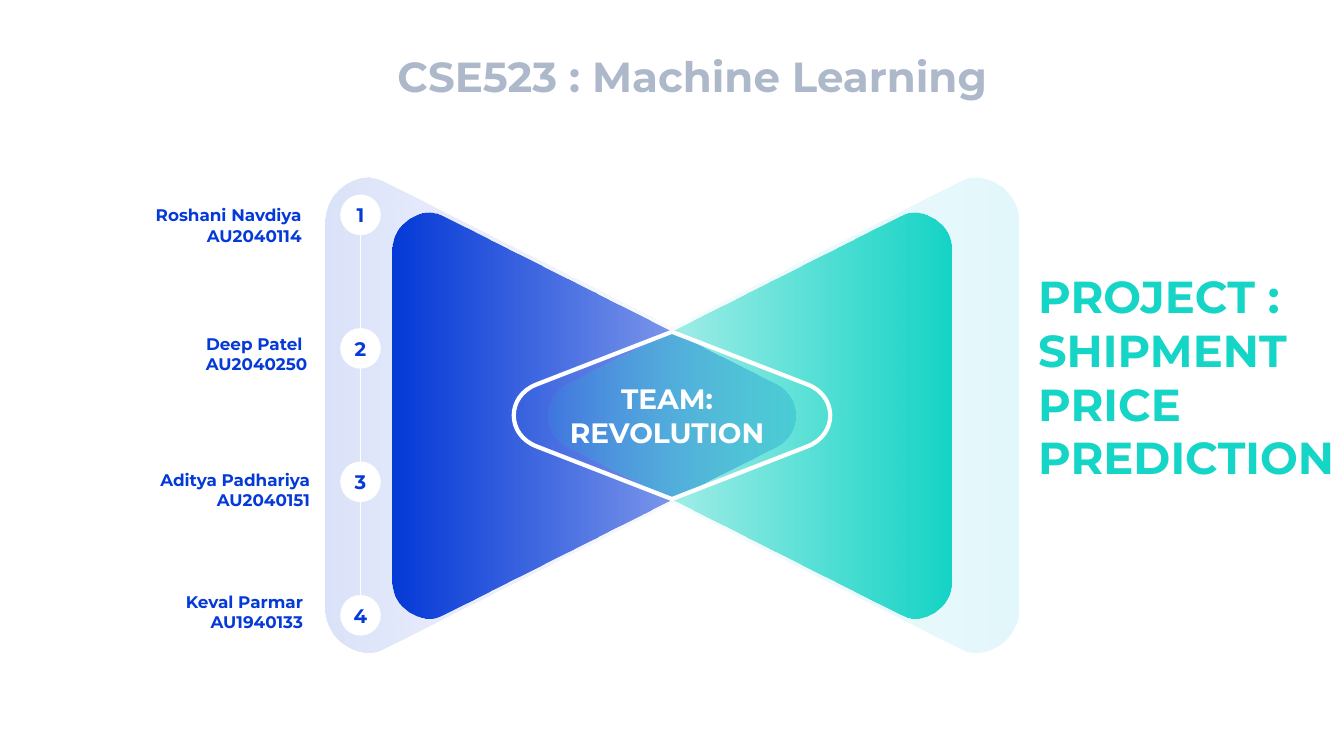
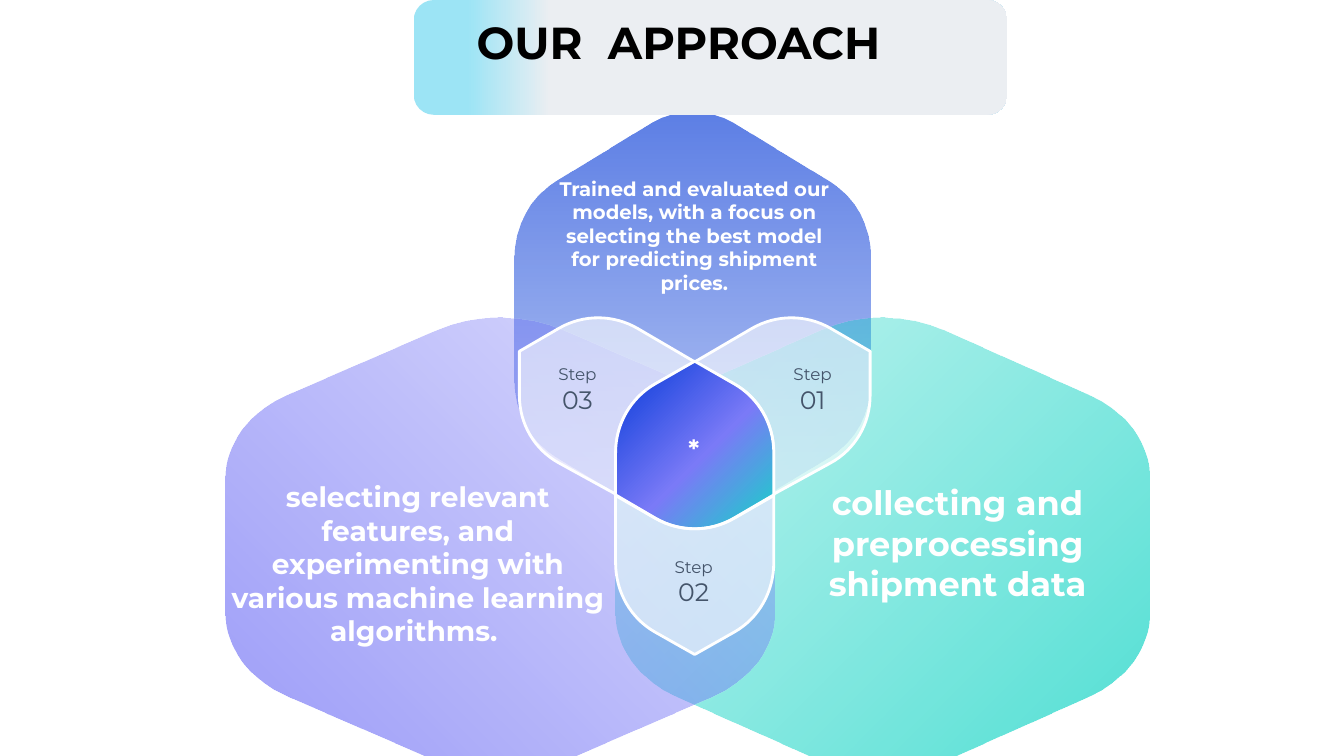
import lxml.etree
import pptx
import pptx.dml.color
import pptx.enum.shapes
import pptx.enum.text
import pptx.oxml.ns
import pptx.util

Pt = pptx.util.Pt
qn = pptx.oxml.ns.qn
PRESET = pptx.enum.shapes.MSO_SHAPE
ALIGN = pptx.enum.text.PP_ALIGN
ANCHOR = pptx.enum.text.MSO_ANCHOR

FONT = "Montserrat"
COLORS = {
    "blue": "053AD8", "violet": "7A7AF7", "teal": "15D5C6", "cyan": "39C9EA",
    "white": "FFFFFF", "black": "000000", "gray": "ADB9CA", "slate": "44546A",
    "sky": "9CE4F5", "mist": "EBEEF2",
}

FUNNEL = [(0, -0.06, 0.13, 0.11), (1.11, 0.5, 0.14, 0.14), (0, 1.06, 0.11, 0.13)]
DIAMOND = [(0.5, 0, 0, 0), (1.18, 0.5, 0.37, 0.37), (0.5, 1, 0, 0), (-0.18, 0.5, 0.37, 0.37)]
HEXAGON = [(x, y, 0.23, 0.23) for x, y in
           [(0.5, -0.03), (1, 0.23), (1, 0.77), (0.5, 1.03), (0, 0.77), (0, 0.23)]]
SIDE_PETAL = [(1, 0.19, 0, 0), (1, 0.7, 0.51, 0.41), (0.45, 1, 0, 0),
              (0.45, 0.5, 0.52, 0.5), (0, 0.25, 0, 0), (0.55, -0.07, 0.41, 0.5)]
LOWER_PETAL = [(1, 0, 0, 0), (1, 0.72, 0.41, 0.5), (0.5, 1, 0, 0),
               (0, 0.72, 0.5, 0.41), (0, 0, 0, 0), (0.5, 0.29, 0.5, 0.5)]
CORE = [(0.5, 0, 0, 0), (1, 0.27, 0.5, 0.52), (1, 0.8, 0, 0),
        (0.5, 1.07, 0.5, 0.5), (0, 0.8, 0, 0), (0, 0.27, 0.52, 0.5)]
VEIL = [(0, "white", 60)]


def rgb(name):
    return pptx.dml.color.RGBColor.from_string(COLORS[name])


def add_color(parent, name, alpha):
    color = lxml.etree.SubElement(parent, qn("a:srgbClr"), val=COLORS[name])
    if alpha < 100:
        lxml.etree.SubElement(color, qn("a:alpha"), val=str(alpha * 1000))


def paint(shape, stops, angle=0, outline=0):
    shape.shadow.inherit = False
    shape.fill.background()
    if stops:
        if len(stops) == 1:
            fill = lxml.etree.Element(qn("a:solidFill"))
            add_color(fill, *stops[0][1:])
        else:
            fill = lxml.etree.Element(qn("a:gradFill"), rotWithShape="1")
            stop_list = lxml.etree.SubElement(fill, qn("a:gsLst"))
            for position, name, alpha in stops:
                stop = lxml.etree.SubElement(stop_list, qn("a:gs"), pos=str(position * 1000))
                add_color(stop, name, alpha)
            lxml.etree.SubElement(fill, qn("a:lin"), ang=str(angle * 60000), scaled="0")
        empty = shape.element.spPr.find(qn("a:noFill"))
        empty.getparent().replace(empty, fill)
    if outline:
        shape.line.color.rgb = rgb("white")
        shape.line.width = Pt(outline)
    else:
        shape.line.fill.background()


def between(a, b, share):
    return tuple(p + (q - p) * share for p, q in zip(a, b))


def add_step(route, kind, points):
    step = lxml.etree.SubElement(route, qn(kind))
    for x, y in points:
        lxml.etree.SubElement(step, qn("a:pt"), x=str(Pt(x)), y=str(Pt(y)))


def rounded(s, box, corners, stops, angle=0, outline=0, pull=0.62, mirror=False):
    x, y, w, h = box
    spots = [(w * (1 - fx if mirror else fx), h * fy) for fx, fy, _, _ in corners]
    builder = s.shapes.build_freeform(Pt(x), Pt(y))
    builder.add_line_segments([(Pt(x + w), Pt(y)), (Pt(x + w), Pt(y + h))], close=True)
    shape = builder.convert_to_shape()
    route = next(shape.element.spPr.iter(qn("a:path")))
    for step in list(route):
        route.remove(step)
    for i, (spot, (_, _, cut_in, cut_out)) in enumerate(zip(spots, corners)):
        start = between(spot, spots[i - 1], cut_in)
        end = between(spot, spots[(i + 1) % len(spots)], cut_out)
        add_step(route, "a:lnTo" if i else "a:moveTo", [start])
        if cut_in:
            handles = [between(start, spot, pull), between(end, spot, pull)]
            add_step(route, "a:cubicBezTo", handles + [end])
    lxml.etree.SubElement(route, qn("a:close"))
    paint(shape, stops, angle, outline)
    return shape


def write(shape, lines, color, bold=True, align=ALIGN.CENTER, anchor=ANCHOR.MIDDLE, inset=2):
    tf = shape.text_frame
    tf.word_wrap = True
    tf.vertical_anchor = anchor
    tf.margin_left = tf.margin_right = tf.margin_top = tf.margin_bottom = Pt(inset)
    for i, (text, size) in enumerate(lines):
        p = tf.add_paragraph() if i else tf.paragraphs[0]
        p.alignment = align
        r = p.add_run()
        r.text = text
        r.font.name = FONT
        r.font.size = Pt(size)
        r.font.bold = bold
        r.font.color.rgb = rgb(color)
    return tf


def label(s, box, lines, color, **style):
    tf = write(s.shapes.add_textbox(*map(Pt, box)), lines, color, **style)
    tf.auto_size = pptx.enum.text.MSO_AUTO_SIZE.SHAPE_TO_FIT_TEXT
    return tf


def funnel_pair(s, box, left_stops, right_stops):
    x, y, w, h = box
    for left, stops, turn in [(x, left_stops, 0), (x + w - h, right_stops, 180)]:
        funnel = rounded(s, (left, y, h, h), FUNNEL, stops, pull=0.42)
        funnel.rotation = turn


def number_rail(s, box, count):
    x, y, d, h = box
    middle = x + d / 2
    line = s.shapes.add_connector(pptx.enum.shapes.MSO_CONNECTOR.STRAIGHT,
                                  Pt(middle), Pt(y + d), Pt(middle), Pt(y + h - d))
    line.line.color.rgb = rgb("white")
    line.line.width = Pt(1)
    lxml.etree.SubElement(line.element.spPr, qn("a:effectLst"))
    for i in range(count):
        top = y + i * (h - d) / (count - 1)
        dot = s.shapes.add_shape(PRESET.OVAL, Pt(x), Pt(top), Pt(d), Pt(d))
        paint(dot, [(0, "white", 100)])
        write(dot, [(str(i + 1), 14)], "blue", inset=0)


def team_slide(prs):
    s = prs.slides.add_slide(prs.slide_layouts[6])
    funnel_pair(s, (232.5, 129, 495, 335.5),
                [(0, "blue", 15), (100, "violet", 0)], [(0, "cyan", 15), (100, "teal", 0)])
    label(s, (272, 32.5, 445, 44), [("CSE523 : Machine Learning", 30)], "gray",
          anchor=ANCHOR.TOP, inset=3.6)
    funnel_pair(s, (280.5, 153.5, 399, 286.5),
                [(0, "blue", 100), (100, "blue", 30)], [(0, "teal", 100), (100, "teal", 10)])
    label(s, (404, 270.5, 145, 53), [("TEAM:", 20), ("REVOLUTION", 20)], "white", anchor=ANCHOR.TOP)
    number_rail(s, (243, 139, 29, 315), 4)
    rounded(s, (367, 237, 226, 119.5), DIAMOND, [], outline=3, pull=0.38)
    for left, top, lines in [
        (41.5, 144.5, ["Roshani Navdiya AU2040114"]),
        (45.5, 236.5, ["Deep Patel ", "AU2040250"]),
        (47.5, 333.5, ["Aditya Padhariya AU2040151"]),
        (42.5, 420.5, ["Keval Parmar", "AU1940133"]),
    ]:
        label(s, (left, top, 176, 33), [(line, 12) for line in lines], "blue",
              align=ALIGN.RIGHT, anchor=ANCHOR.TOP)
    label(s, (739.5, 190, 220.5, 159), [("PROJECT :", 32), ("SHIPMENT PRICE PREDICTION", 32)],
          "teal", align=ALIGN.LEFT, anchor=ANCHOR.TOP)


def stage(s, box, color, strong, angle):
    rounded(s, box, HEXAGON, [(0, color, 25), (100, color, strong)], angle)


def step_label(s, center, number):
    x, y = center
    label(s, (x - 30, y - 21.5, 60, 43), [("Step", 12), (number, 18)], "slate", bold=False)


def core_petals(s, box):
    x, y, w, h = box
    middle = x + w / 2
    side, core = w / 2, 113
    core_left = middle - core / 2
    rounded(s, (middle, y, side, 126), SIDE_PETAL, VEIL, outline=2)
    rounded(s, (x, y, side, 126), SIDE_PETAL, VEIL, outline=2, mirror=True)
    rounded(s, (core_left, y + 31, core, 120), CORE,
            [(0, "blue", 100), (56, "violet", 100), (100, "teal", 100)], 45, outline=2)
    rounded(s, (core_left, y + 126.5, core, h - 126.5), LOWER_PETAL, VEIL, outline=2)


def banner(s, box, title):
    x, y, w, h = box
    band = s.shapes.add_shape(PRESET.ROUNDED_RECTANGLE, *map(Pt, box))
    band.adjustments[0] = 0.175
    paint(band, [(9, "sky", 100), (23, "mist", 100)])
    tf = label(s, (x + 37, y + 27, 304.5, 26), [(title, 32)], "black")
    tf.paragraphs[0].line_spacing = Pt(18)


def approach_slide(prs):
    s = prs.slides.add_slide(prs.slide_layouts[6])
    stage(s, (367.5, 79, 254, 298), "blue", 65, 270)
    stage(s, (440, 226.5, 381, 326.5), "teal", 75, 45)
    stage(s, (161, 226.5, 392, 326.5), "violet", 75, 135)
    core_petals(s, (371, 227, 250.5, 240.5))
    label(s, (397.5, 124, 197, 88.5),
          [("Trained and evaluated our models, with a focus on selecting the best model "
            "for predicting shipment prices.", 14)], "white")
    label(s, (579, 342, 210, 91.5), [("collecting and preprocessing shipment data", 24)], "white")
    for center, number in [((580.5, 278), "01"), ((412.5, 278), "03"), ((495.5, 415.5), "02")]:
        step_label(s, center, number)
    label(s, (465.5, 307.5, 60, 26), [("*", 18)], "white")
    banner(s, (295.5, 0, 424, 82), "OUR  APPROACH")
    label(s, (162.5, 340, 272, 125),
          [("selecting relevant features, and experimenting with various machine learning "
            "algorithms. ", 20)], "white")


def main():
    prs = pptx.Presentation()
    prs.slide_width, prs.slide_height = Pt(960), Pt(540)
    team_slide(prs)
    approach_slide(prs)
    prs.save("out.pptx")


if __name__ == "__main__":
    main()
